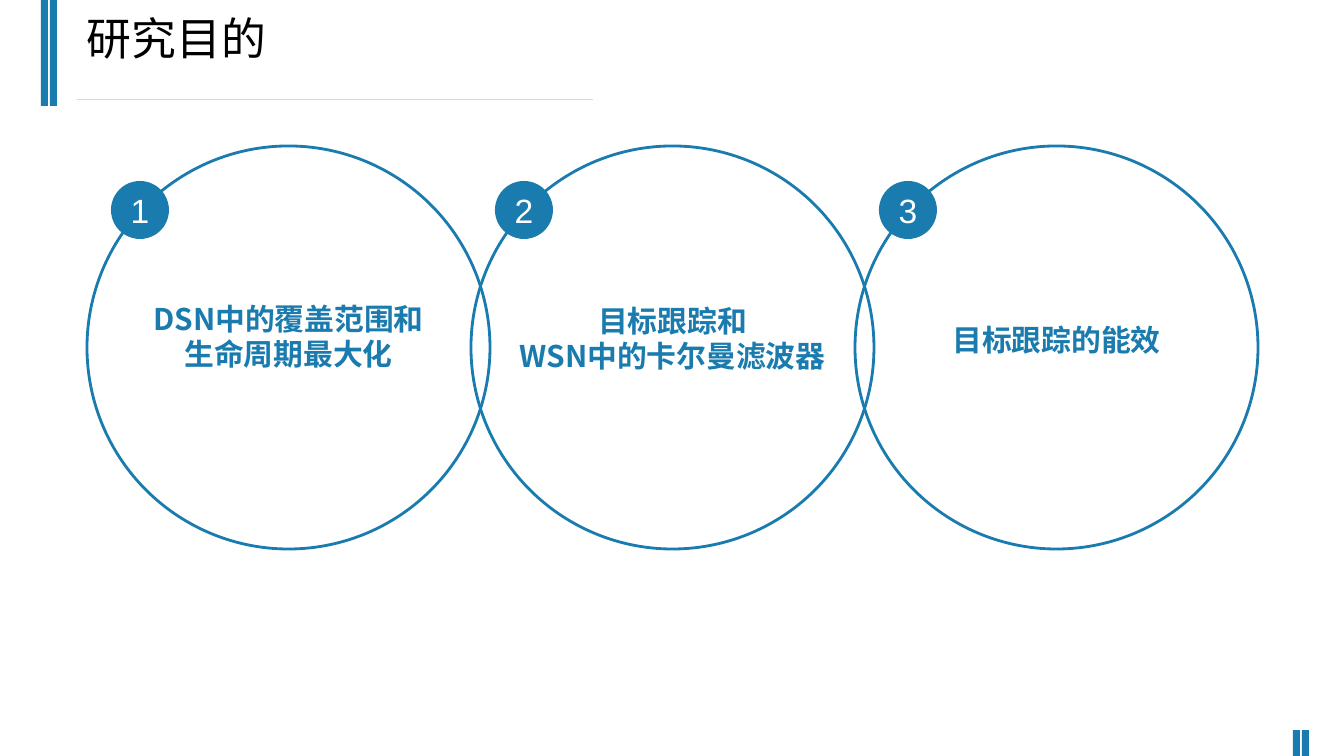
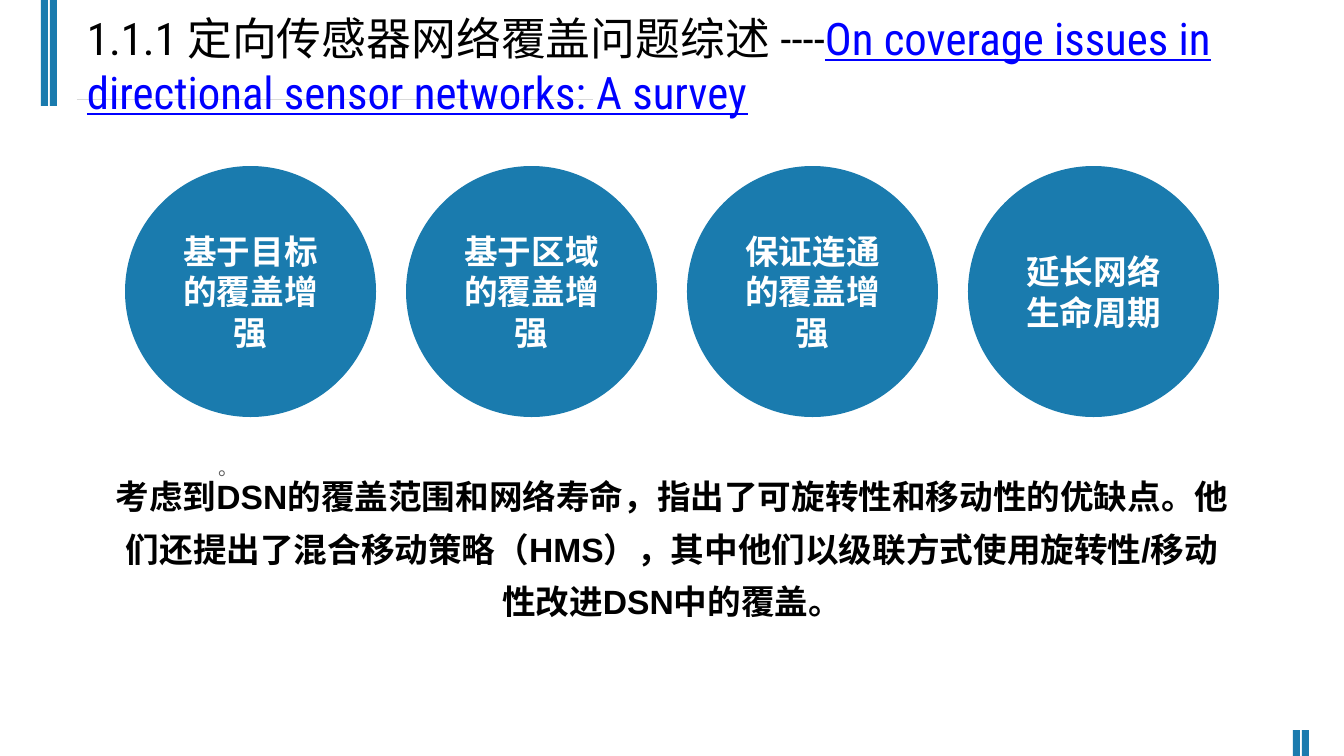
from pptx import Presentation
from pptx import util as u
from pptx.dml.color import RGBColor
from pptx.enum import shapes, text
from pptx.oxml.ns import qn
from lxml import etree

PX = 914400 / 100.8
BLUE = RGBColor(0x1A, 0x7B, 0xAE)
LINK = RGBColor(0x00, 0x00, 0xFF)
GREY = RGBColor(0x59, 0x59, 0x59)
RULE = RGBColor(0xD9, 0xD9, 0xD9)
WHITE = RGBColor(0xFF, 0xFF, 0xFF)
BLACK = RGBColor(0x00, 0x00, 0x00)
HAN = "Noto Sans CJK SC"
HEAD = "Roboto Condensed"


def px(*vals):
    return [u.Emu(round(v * PX)) for v in vals]


def write(shape, *lines, size=24, font="Arial", color=BLACK, bold=False,
          align=text.PP_ALIGN.CENTER, anchor=text.MSO_ANCHOR.MIDDLE,
          inset=(10, 5), wrap=True, space=None):
    frame = shape.text_frame
    frame.word_wrap = wrap
    frame.vertical_anchor = anchor
    frame.margin_left = frame.margin_right = px(inset[0])[0]
    frame.margin_top = frame.margin_bottom = px(inset[1])[0]
    for i, line in enumerate(lines):
        para = frame.add_paragraph() if i else frame.paragraphs[0]
        para.alignment = align
        if space:
            para.line_spacing = space
        for part in [line] if isinstance(line, str) else line:
            words, tint = (part, color) if isinstance(part, str) else part
            run = para.add_run()
            run.text = words
            run.font.size = u.Pt(size)
            run.font.name = font
            run.font.bold = bold
            run.font.color.rgb = tint
            run.font.underline = tint == LINK
            latin = run.font._element.find(qn("a:latin"))
            asian = etree.Element(qn("a:ea"), typeface=HAN)
            latin.addnext(asian)


def label(slide, box, *lines, **fmt):
    write(slide.shapes.add_textbox(*px(*box)), *lines, **fmt)


def draw(slide, kind, box, fill=None, line=None):
    shape = slide.shapes.add_shape(kind, *px(*box))
    shape.shadow.inherit = False
    if fill is None:
        shape.fill.background()
    else:
        shape.fill.solid()
        shape.fill.fore_color.rgb = fill
    if line is None:
        shape.line.fill.background()
    else:
        shape.line.color.rgb = line
        shape.line.width = u.Pt(2)
    return shape


def bars(slide, left, top, height):
    for i in range(2):
        draw(slide, shapes.MSO_SHAPE.RECTANGLE,
             (left + 9 * i, top, 7, height), fill=BLUE)


def frame(deck, title, width, height):
    slide = deck.slides.add_slide(deck.slide_layouts[6])
    bars(slide, 41, 0, 106)
    bars(slide, 1293, 730, 26)
    rule = slide.shapes.add_connector(
        shapes.MSO_CONNECTOR.STRAIGHT, *px(77, 100, 593, 100))
    rule.line.color.rgb = RULE
    rule.line.width = u.Pt(0.75)
    etree.SubElement(rule._element.spPr, qn("a:effectLst"))
    label(slide, (77, 6, width, height), title, size=32, font=HEAD,
          align=text.PP_ALIGN.LEFT, anchor=text.MSO_ANCHOR.TOP)
    return slide


def rings(slide, left, top, side, step, goals):
    for i, lines in enumerate(goals):
        x = left + step * i
        draw(slide, shapes.MSO_SHAPE.OVAL, (x, top, side, side), line=BLUE)
        label(slide, (x, top + 149 + 2 * i, side, 82), *lines, size=21.3,
              font=HAN, color=BLUE, bold=True, wrap=False)
    for i in range(len(goals)):
        badge = draw(slide, shapes.MSO_SHAPE.OVAL,
                     (left + step * i + 24, top + 35, 58, 58), fill=BLUE)
        write(badge, str(i + 1), color=WHITE, inset=(0, 0))


def discs(slide, left, top, side, step, names):
    for i, name in enumerate(names):
        disc = draw(slide, shapes.MSO_SHAPE.OVAL,
                    (left + step * i, top, side, side), fill=BLUE)
        write(disc, name, color=WHITE, bold=True, inset=(13, 7))


def notes(slide, left, top):
    label(slide, (left, top, 251, 41), "。", size=14, font=HAN,
          color=GREY, space=1.5, anchor=text.MSO_ANCHOR.TOP)
    label(slide, (left, top + 20, 1138, 163),
          "考虑到DSN的覆盖范围和网络寿命，指出了可旋转性和移动性的优缺点。"
          "他们还提出了混合移动策略（HMS），其中他们以级联方式使用旋转性/移动性改进DSN中的覆盖。",
          bold=True, space=1.3, anchor=text.MSO_ANCHOR.TOP)


def main():
    deck = Presentation()
    deck.slide_width, deck.slide_height = px(1344, 756)

    aims = frame(deck, "研究目的", 874, 65)
    rings(aims, 87, 146, 403, 384, [
        ("DSN中的覆盖范围和", "生命周期最大化"),
        ("目标跟踪和", "WSN中的卡尔曼滤波器"),
        ("目标跟踪的能效",),
    ])

    survey = frame(deck, [
        "1.1.1 定向传感器网络覆盖问题综述 ----",
        ("On coverage issues in directional sensor networks: A survey", LINK),
    ], 1267, 119)
    discs(survey, 125, 166, 251, 281, [
        "基于目标的覆盖增强", "基于区域的覆盖增强",
        "保证连通的覆盖增强", "延长网络生命周期",
    ])
    notes(survey, 103, 439)
    deck.save("out.pptx")


if __name__ == "__main__":
    main()
